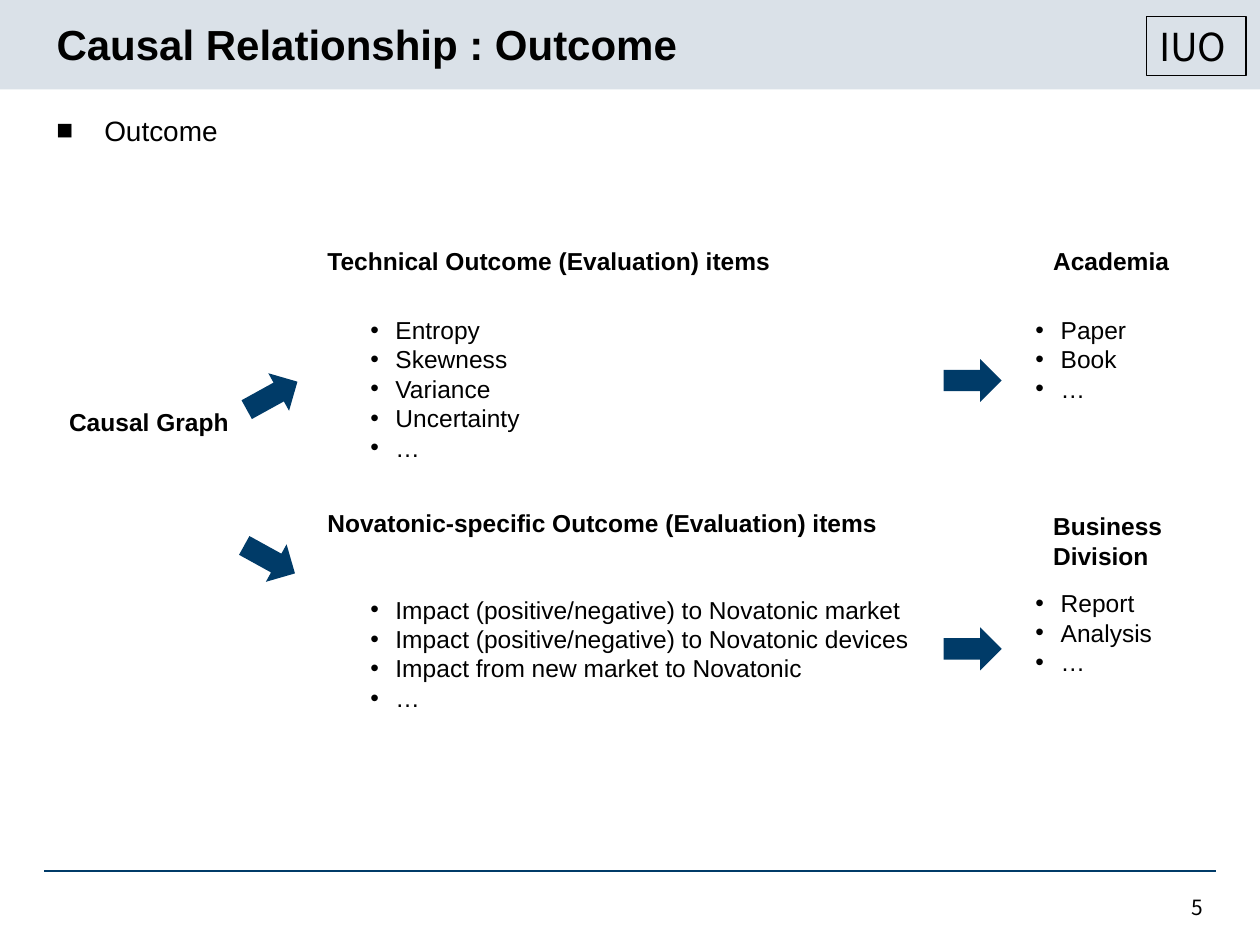
from lxml import etree
from pptx import Presentation
from pptx.dml.color import RGBColor
from pptx.enum.shapes import MSO_CONNECTOR, MSO_SHAPE
from pptx.enum.text import MSO_ANCHOR, PP_ALIGN
from pptx.oxml.ns import qn
from pptx.util import Inches, Pt

NAVY = RGBColor(0x00, 0x3B, 0x68)
PALE = RGBColor(0xDA, 0xE1, 0xE8)
BLACK = RGBColor(0x00, 0x00, 0x00)
RECTANGLE, RIGHT_ARROW = MSO_SHAPE.RECTANGLE, MSO_SHAPE.RIGHT_ARROW
STRAIGHT = MSO_CONNECTOR.STRAIGHT
TOP, MIDDLE = MSO_ANCHOR.TOP, MSO_ANCHOR.MIDDLE
LEFT, RIGHT = PP_ALIGN.LEFT, PP_ALIGN.RIGHT
COLUMNS, ROWS = 100, 75
SANS, CJK = "Arial", "Noto Sans CJK JP"


class SlideBuilder:
    """Draws styled elements placed by columns and rows of the slide grid."""

    def __init__(self, prs):
        self.slide = prs.slides.add_slide(prs.slide_layouts[6])
        self.col = prs.slide_width / COLUMNS
        self.row = prs.slide_height / ROWS

    def place(self, x, y, w, h):
        return (round(x * self.col), round(y * self.row),
                round(w * self.col), round(h * self.row))

    def shape(self, kind, box, fill, rotation=0):
        sp = self.slide.shapes.add_shape(kind, *self.place(*box))
        sp.shadow.inherit = False
        sp.fill.solid()
        sp.fill.fore_color.rgb = fill
        sp.line.fill.background()
        sp.rotation = rotation

    def arrow(self, x, y, rotation=0):
        self.shape(RIGHT_ARROW, (x, y, 4.6, 3.4), NAVY, rotation)

    def rule(self, x1, x2, y):
        left, top, right, bottom = self.place(x1, y, x2, y)
        cxn = self.slide.shapes.add_connector(STRAIGHT, left, top, right, bottom)
        cxn.line.color.rgb = NAVY
        cxn.line.width = Pt(1)
        etree.SubElement(cxn._element.spPr, qn("a:effectLst"))

    def text(self, box, lines, size=14, bold=False, font=SANS, wrap=False,
             anchor=TOP, align=LEFT, bullet=None, indent=0.2):
        sp = self.slide.shapes.add_textbox(*self.place(*box))
        tf = sp.text_frame
        tf.word_wrap = wrap
        tf.vertical_anchor = anchor
        tf.text = "\n".join(lines)
        for p in tf.paragraphs:
            p.alignment = align
            if bullet:
                self.bullet(p, bullet, indent)
            for r in p.runs:
                r.font.name = font
                r.font.size = Pt(size)
                r.font.bold = bold
                r.font.color.rgb = BLACK
        return sp

    def bullet(self, p, char, indent):
        pPr = p._p.get_or_add_pPr()
        pPr.set("marL", str(Inches(indent)))
        pPr.set("indent", str(-Inches(indent)))
        etree.SubElement(pPr, qn("a:buFont")).set("typeface", SANS)
        etree.SubElement(pPr, qn("a:buChar")).set("char", char)

    def heading(self, box, text):
        self.text(box, [text], bold=True)

    def items(self, box, lines):
        self.text(box, lines, bullet="•")

    def title(self, box, text):
        tf = self.text(box, [text], size=24, bold=True, wrap=True,
                       anchor=MIDDLE).text_frame
        tf.margin_top = tf.margin_bottom = 0
        tf.paragraphs[0].line_spacing = 0.9

    def label(self, box, text):
        sp = self.text(box, [text], size=22, font=CJK)
        sp.line.color.rgb = BLACK
        sp.line.width = Pt(0.75)


def main():
    prs = Presentation()
    prs.slide_width, prs.slide_height = Inches(10), Inches(7.5)
    s = SlideBuilder(prs)

    s.shape(RECTANGLE, (0, 0, COLUMNS, 7.1), PALE)
    s.rule(3.5, 96.5, 69.1)
    s.label((91, 1.3, 7.9, 4.7), "IUO")
    s.title((3.5, 1.9, 89.8, 3.6), "Causal Relationship : Outcome")
    s.text((91.3, 70, 5.2, 4), ["5"], size=12, font=CJK, wrap=True,
           anchor=MIDDLE, align=RIGHT)
    s.text((3.5, 8.5, 93, 3.7), ["Outcome"], size=16, wrap=True,
           bullet="■", indent=0.38)

    s.heading((4.5, 31.8, 14.7, 3.4), "Causal Graph")
    s.arrow(19.3, 29.7, -28.9)
    s.arrow(19.1, 42.7, 28.9)

    s.heading((25, 19, 37.3, 3.4), "Technical Outcome (Evaluation) items")
    s.items((28.4, 24.5, 13.9, 12.8),
            ["Entropy", "Skewness", "Variance", "Uncertainty", "…"])
    s.arrow(74.9, 28.5)
    s.heading((82.6, 19, 11.3, 3.4), "Academia")
    s.items((81.2, 24.5, 9.3, 8.1), ["Paper", "Book", "…"])

    s.heading((25, 39.8, 46.1, 3.4),
              "Novatonic-specific Outcome (Evaluation) items")
    s.items((28.4, 46.7, 46.5, 10.4),
            ["Impact (positive/negative) to Novatonic market",
             "Impact (positive/negative) to Novatonic devices",
             "Impact from new market to Novatonic", "…"])
    s.arrow(74.9, 49.8)
    s.heading((82.6, 40.1, 10.7, 5.7), "Business\vDivision")
    s.items((81.2, 46.2, 11.3, 8.1), ["Report", "Analysis", "…"])

    prs.save("out.pptx")


if __name__ == "__main__":
    main()
